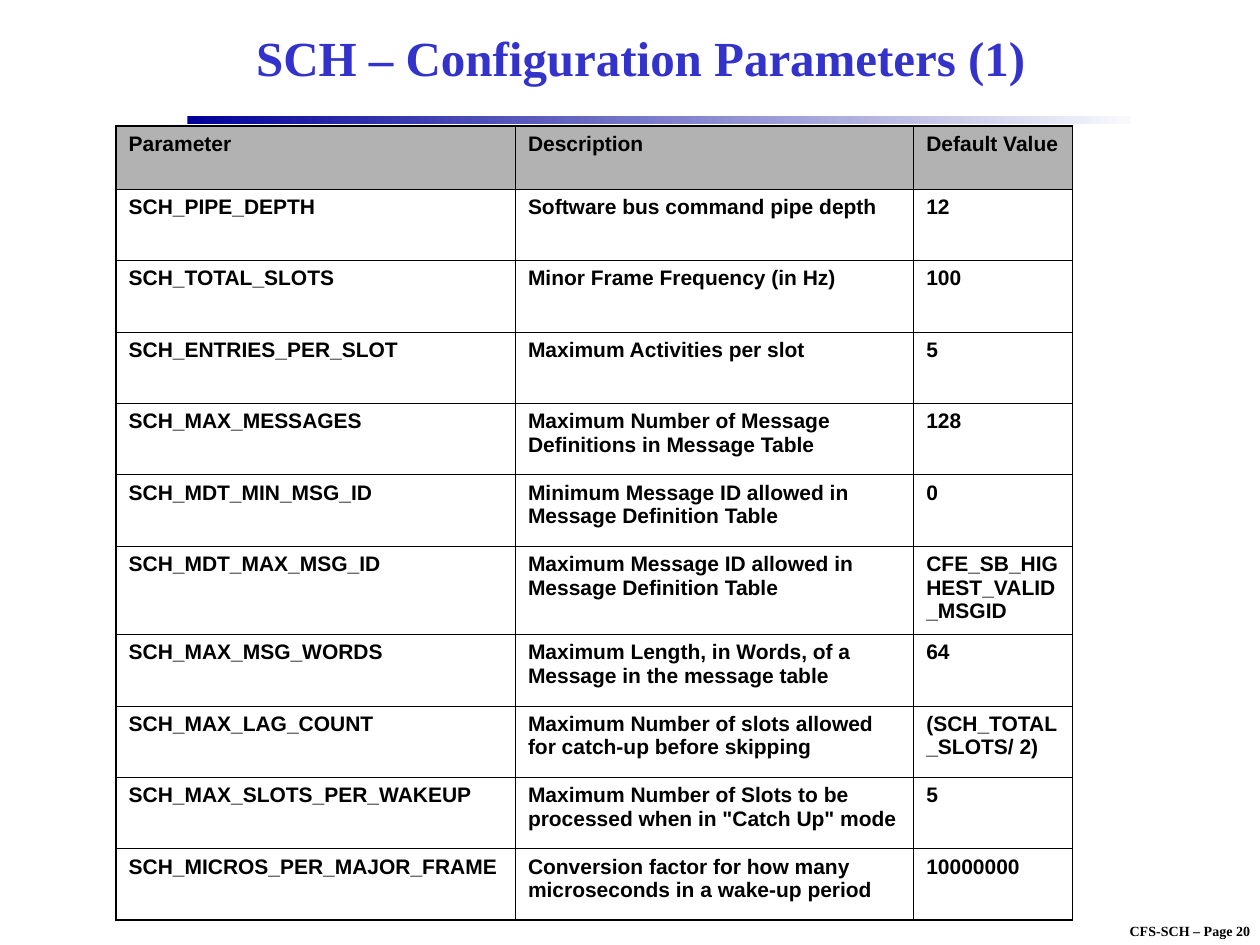
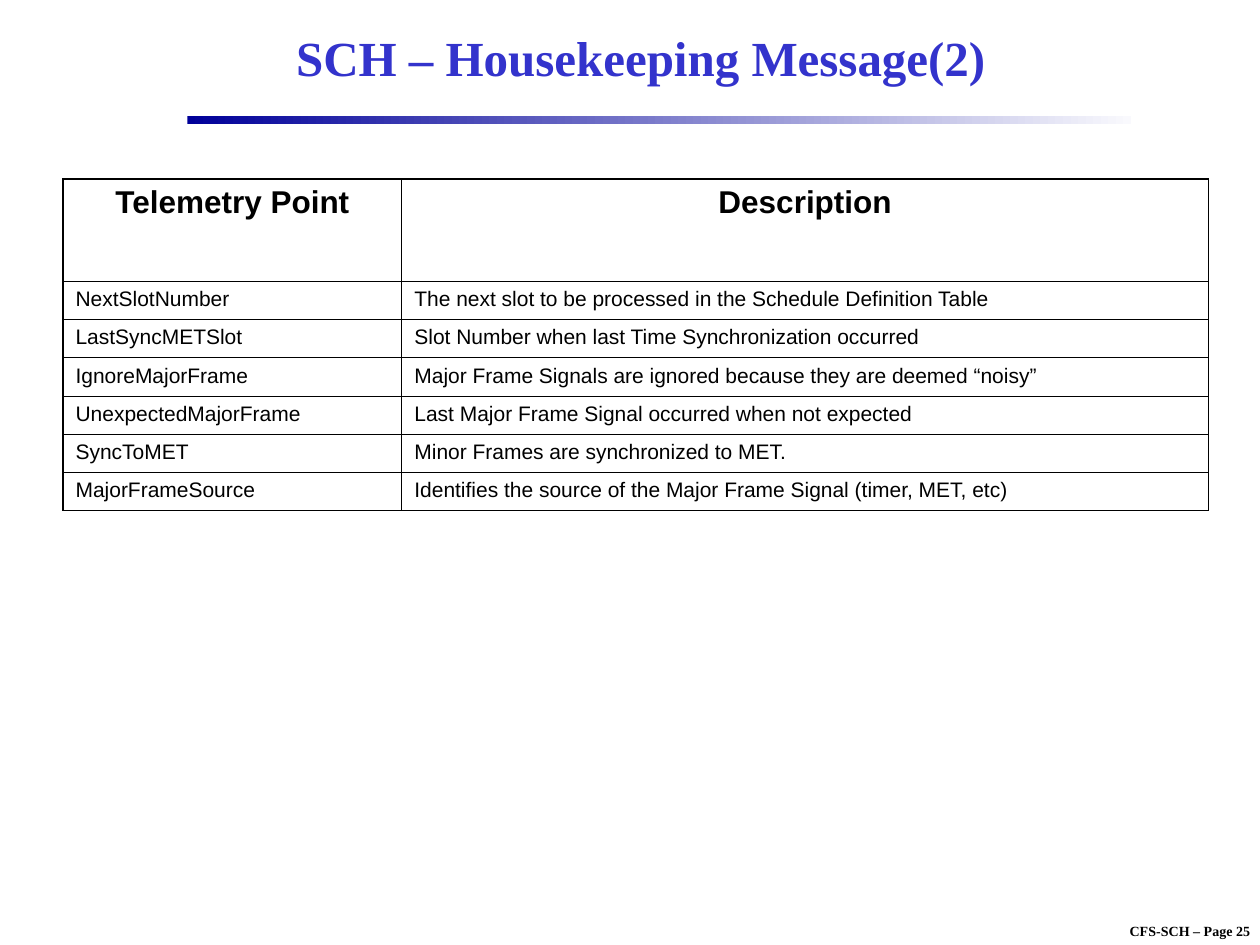
from lxml.etree import SubElement
from pptx import Presentation
from pptx.dml.color import RGBColor
from pptx.enum.shapes import MSO_SHAPE
from pptx.enum.text import MSO_ANCHOR, PP_ALIGN
from pptx.oxml.ns import qn
from pptx.util import Cm, Pt

# Content
PARAMS = [
    ("Parameter", "Description", "Default Value"),
    ("SCH_PIPE_DEPTH", "Software bus command pipe depth", "12"),
    ("SCH_TOTAL_SLOTS", "Minor Frame Frequency (in Hz)", "100"),
    ("SCH_ENTRIES_PER_SLOT", "Maximum Activities per slot", "5"),
    ("SCH_MAX_MESSAGES",
     "Maximum Number of Message Definitions in Message Table", "128"),
    ("SCH_MDT_MIN_MSG_ID",
     "Minimum Message ID allowed in Message Definition Table", "0"),
    ("SCH_MDT_MAX_MSG_ID",
     "Maximum Message ID allowed in Message Definition Table",
     "CFE_SB_HIGHEST_VALID_MSGID"),
    ("SCH_MAX_MSG_WORDS",
     "Maximum Length, in Words, of a Message in the message table", "64"),
    ("SCH_MAX_LAG_COUNT",
     "Maximum Number of slots allowed for catch-up before skipping",
     "(SCH_TOTAL_SLOTS/ 2)"),
    ("SCH_MAX_SLOTS_PER_WAKEUP",
     'Maximum Number of Slots to be processed when in "Catch Up" mode', "5"),
    ("SCH_MICROS_PER_MAJOR_FRAME",
     "Conversion factor for how many microseconds in a wake-up period",
     "10000000"),
]
POINTS = [
    ("Telemetry Point", "Description"),
    ("NextSlotNumber",
     "The next slot to be processed in the Schedule Definition Table"),
    ("LastSyncMETSlot", "Slot Number when last Time Synchronization occurred"),
    ("IgnoreMajorFrame",
     "Major Frame Signals are ignored because they are deemed “noisy”"),
    ("UnexpectedMajorFrame",
     "Last Major Frame Signal occurred when not expected"),
    ("SyncToMET", "Minor Frames are synchronized to MET."),
    ("MajorFrameSource",
     "Identifies the source of the Major Frame Signal (timer, MET, etc)"),
]
SLIDES = [
    dict(title="SCH – Configuration Parameters (1)", page=20, rows=PARAMS,
         at=(2.34, 2.54), wide=(8.05, 8.03, 3.2),
         high=[1.27] + [1.44] * 5 + [1.78] + [1.44] * 3 + [1.43],
         head=dict(size=12, bold=True), body=dict(size=12, bold=True),
         fill="B2B2B2", foot=1.08),
    dict(title="SCH – Housekeeping Message(2)", page=25, rows=POINTS,
         at=(1.27, 3.61), wide=(6.83, 16.26), high=[2.06] + [0.77] * 6,
         head=dict(size=18, bold=True, align=PP_ALIGN.CENTER),
         body=dict(size=12), fill=None, foot=0.45),
]

# Shared style
BLACK, BLUE, NAVY, PALE = "000000", "3333CC", "000099", "F9F9FD"
SERIF, SANS = "Times New Roman", "Arial"
THICK, THIN = 1.08, 0.45


def color(code):
    return RGBColor.from_string(code)


def write(frame, text, size, face=SANS, ink=BLACK, bold=False,
          align=PP_ALIGN.LEFT):
    frame.text = text
    para = frame.paragraphs[0]
    para.alignment = align
    font = para.runs[0].font
    font.size, font.name, font.bold = Pt(size), face, bold
    font.color.rgb = color(ink)


def label(slide, box, text, size, ink, wrap):
    frame = slide.shapes.add_textbox(*map(Cm, box)).text_frame
    frame.word_wrap = wrap
    frame.vertical_anchor = MSO_ANCHOR.MIDDLE if wrap else MSO_ANCHOR.TOP
    write(frame, text, size, SERIF, ink, True, PP_ALIGN.CENTER)


def border(cell, **sides):
    props = cell._tc.get_or_add_tcPr()
    for side, width in sides.items():
        line = SubElement(props, qn(f"a:ln{side}"), w=str(Pt(width)))
        fill = SubElement(line, qn("a:solidFill"))
        SubElement(fill, qn("a:srgbClr"), val=BLACK)


def frame_up(slide, title, page):
    # Footer, gradient band and title
    label(slide, (22.02, 18.47, 3.94, 0.58), f"CFS-SCH – Page {page}",
          8, BLACK, False)
    band = slide.shapes.add_shape(
        MSO_SHAPE.RECTANGLE, *map(Cm, (3.78, 2.33, 19.02, 0.18)))
    band.shadow.inherit = False
    band.line.fill.background()
    band.fill.gradient()
    band.fill.gradient_angle = 0
    for stop, code in zip(band.fill.gradient_stops, (NAVY, PALE)):
        stop.color.rgb = color(code)
    label(slide, (3.81, 0.2, 18.21, 1.91), title, 28, BLUE, True)


def grid(slide, rows, at, wide, high, head, body, fill, foot):
    size = sum(wide), sum(high)
    table = slide.shapes.add_table(
        len(high), len(wide), *map(Cm, at + size)).table
    table.first_row = table.horz_banding = False
    for col, width in zip(table.columns, wide):
        col.width = Cm(width)
    for row, height in zip(table.rows, high):
        row.height = Cm(height)
    # Thick outer edge, thin inner lines
    last, end = len(high) - 1, len(wide) - 1
    for r, texts in enumerate(rows):
        for c, text in enumerate(texts):
            cell = table.cell(r, c)
            border(cell, L=THIN if c else THICK,
                   R=THICK if c == end else THIN,
                   T=THIN if r else THICK,
                   B=foot if r == last else THIN)
            if fill and r == 0:
                cell.fill.solid()
                cell.fill.fore_color.rgb = color(fill)
            else:
                cell.fill.background()
            write(cell.text_frame, text, **(body if r else head))


def main():
    deck = Presentation()
    deck.slide_width, deck.slide_height = Cm(25.4), Cm(19.05)
    for item in SLIDES:
        slide = deck.slides.add_slide(deck.slide_layouts[6])
        parts = dict(item)
        frame_up(slide, parts.pop("title"), parts.pop("page"))
        grid(slide, **parts)
    deck.save("out.pptx")


if __name__ == "__main__":
    main()
